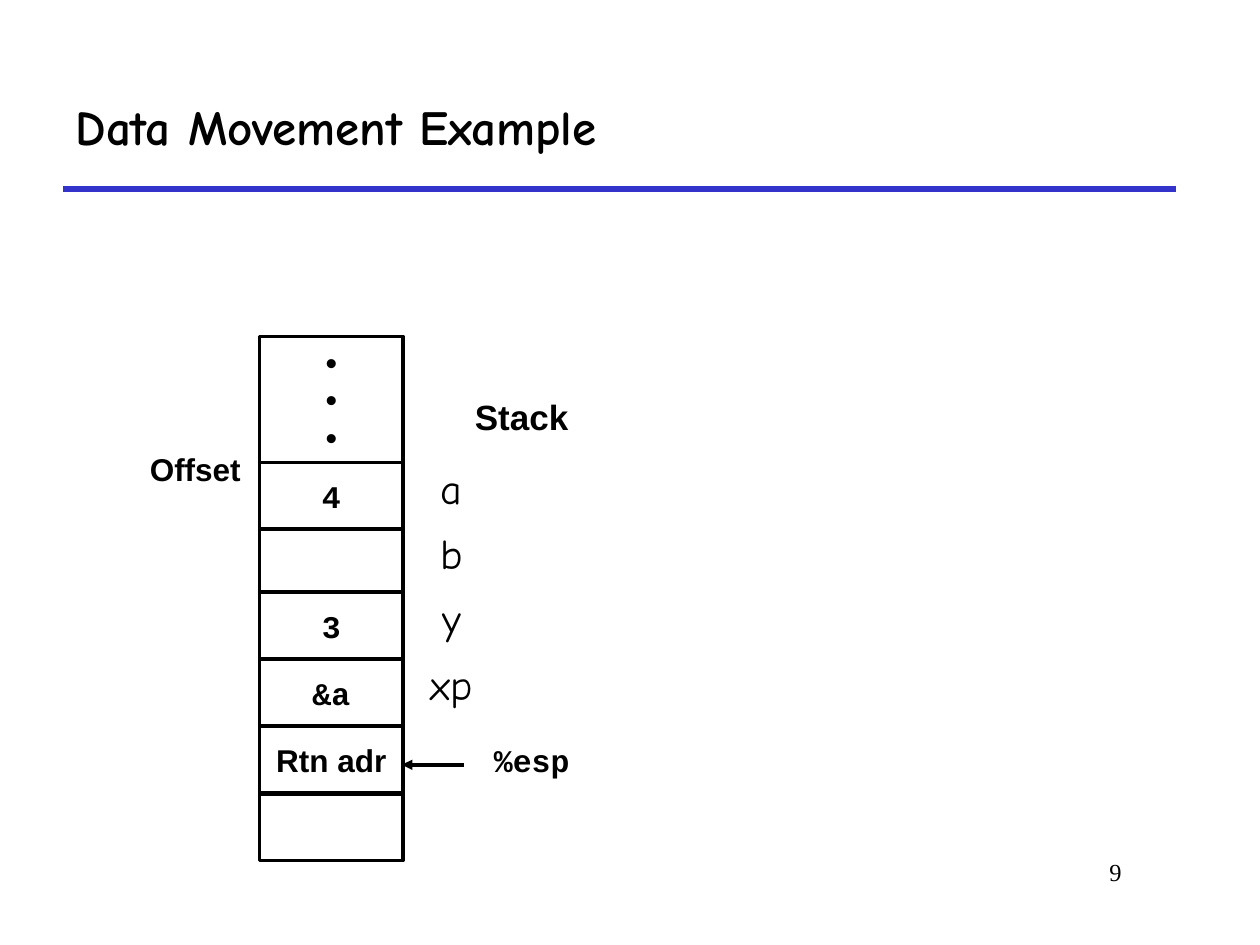
from dataclasses import dataclass

from lxml import etree
from pptx import Presentation
from pptx import util as u
from pptx.dml.color import RGBColor
from pptx.enum import shapes, text
from pptx.oxml.ns import qn

COLUMNS, ROWS = 10, 7.5
WIDTH, HEIGHT = u.Inches(10), u.Inches(7.5)


@dataclass(frozen=True)
class Theme:
    ink: RGBColor = RGBColor(0x00, 0x00, 0x00)
    paper: RGBColor = RGBColor(0xFF, 0xFF, 0xFF)
    rule: RGBColor = RGBColor(0x33, 0x33, 0xCC)
    comic: str = "Comic Neue"
    sans: str = "Arial"
    mono: str = "Courier New"
    serif: str = "Times New Roman"
    title: int = 28
    variable: int = 24
    heading: int = 20
    label: int = 18
    number: int = 14


THEME = Theme()

STACK_LEFT, STACK_WIDTH = 2.06, 1.14
CELL_HEIGHT = 0.53
CELL_PITCH = 1.6 / 3
STACK_TOP, FIRST_CELL, LAST_CELL = 2.67, 3.67, 6.3


def across(columns):
    return u.Emu(round(WIDTH * columns / COLUMNS))


def down(rows):
    return u.Emu(round(HEIGHT * rows / ROWS))


def area(left, top, width, height):
    return across(left), down(top), across(width), down(height)


def write(frame, words, font, size, bold=True, align=text.PP_ALIGN.CENTER):
    frame.text = words
    for para in frame.paragraphs:
        para.alignment = align
        for span in para.runs:
            span.font.name = font
            span.font.size = u.Pt(size)
            span.font.bold = bold
            span.font.color.rgb = THEME.ink


def add_title(page, words):
    title = page.shapes.title
    title.left, title.top, title.width, title.height = area(0.5, 0.5, 8.83, 1)
    frame = title.text_frame
    frame.auto_size = text.MSO_AUTO_SIZE.NONE
    frame.vertical_anchor = text.MSO_ANCHOR.MIDDLE
    write(frame, words, THEME.comic, THEME.title, align=text.PP_ALIGN.LEFT)


def add_line(page, start, end, color, weight, arrow=False):
    line = page.shapes.add_connector(
        shapes.MSO_CONNECTOR.STRAIGHT,
        across(start[0]), down(start[1]), across(end[0]), down(end[1]))
    line.line.color.rgb = color
    line.line.width = u.Pt(weight)
    if arrow:
        etree.SubElement(line.line._get_or_add_ln(), qn("a:tailEnd"), type="triangle")
    etree.SubElement(line._element.spPr, qn("a:effectLst"))


def add_cell(page, top, words="", font=THEME.mono, height=CELL_HEIGHT):
    box = page.shapes.add_shape(
        shapes.MSO_SHAPE.RECTANGLE, *area(STACK_LEFT, top, STACK_WIDTH, height))
    box.shadow.inherit = False
    box.fill.solid()
    box.fill.fore_color.rgb = THEME.paper
    box.line.color.rgb = THEME.ink
    box.line.width = u.Pt(2)
    if words:
        box.text_frame.word_wrap = False
        box.text_frame.vertical_anchor = text.MSO_ANCHOR.MIDDLE
        write(box.text_frame, words, font, THEME.label)


def add_stack(page):
    """Lower cells stand on an even pitch; the top cell overlaps the second."""
    lower = [("", THEME.mono), ("3", THEME.mono), ("&a", THEME.mono),
             ("Rtn adr", THEME.sans), ("", THEME.mono)]
    for step, (words, font) in enumerate(reversed(lower)):
        add_cell(page, LAST_CELL - step * CELL_PITCH, words, font)
    add_cell(page, STACK_TOP, "•\n•\n•", THEME.sans, FIRST_CELL - STACK_TOP)
    add_cell(page, FIRST_CELL, "4")


def add_label(page, place, words, font, size, **style):
    box = page.shapes.add_textbox(*area(*place))
    box.text_frame.word_wrap = False
    write(box.text_frame, words, font, size, **style)


def add_variables(page, names):
    table = page.shapes.add_table(len(names), 1, *area(3.25, 3.65, 0.67, 2.08)).table
    table.first_row = table.horz_banding = False
    for row, name in enumerate(names):
        cell = table.cell(row, 0)
        cell.fill.solid()
        cell.fill.fore_color.rgb = THEME.paper
        write(cell.text_frame, name, THEME.comic, THEME.variable, bold=False)


def main():
    deck = Presentation()
    deck.slide_width, deck.slide_height = WIDTH, HEIGHT
    page = deck.slides.add_slide(deck.slide_layouts.get_by_name("Title Only"))
    add_line(page, (0.5, 1.5), (9.33, 1.5), THEME.rule, 3)
    add_title(page, "Data Movement Example")
    add_stack(page)
    add_line(page, (3.68, 6.07), (3.19, 6.07), THEME.ink, 2, arrow=True)
    add_label(page, (3.82, 5.83, 0.8, 0.4), "%esp", THEME.mono, THEME.label)
    add_label(page, (1.09, 3.52, 0.92, 0.4), "Offset", THEME.sans, THEME.label)
    add_label(page, (3.67, 3.09, 0.94, 0.44), "Stack", THEME.sans, THEME.heading)
    add_variables(page, ["a", "b", "y", "xp"])
    add_label(page, (7.58, 6.75, 1.42, 0.5), "9", THEME.serif, THEME.number,
              bold=False, align=text.PP_ALIGN.RIGHT)
    deck.save("out.pptx")


if __name__ == "__main__":
    main()
